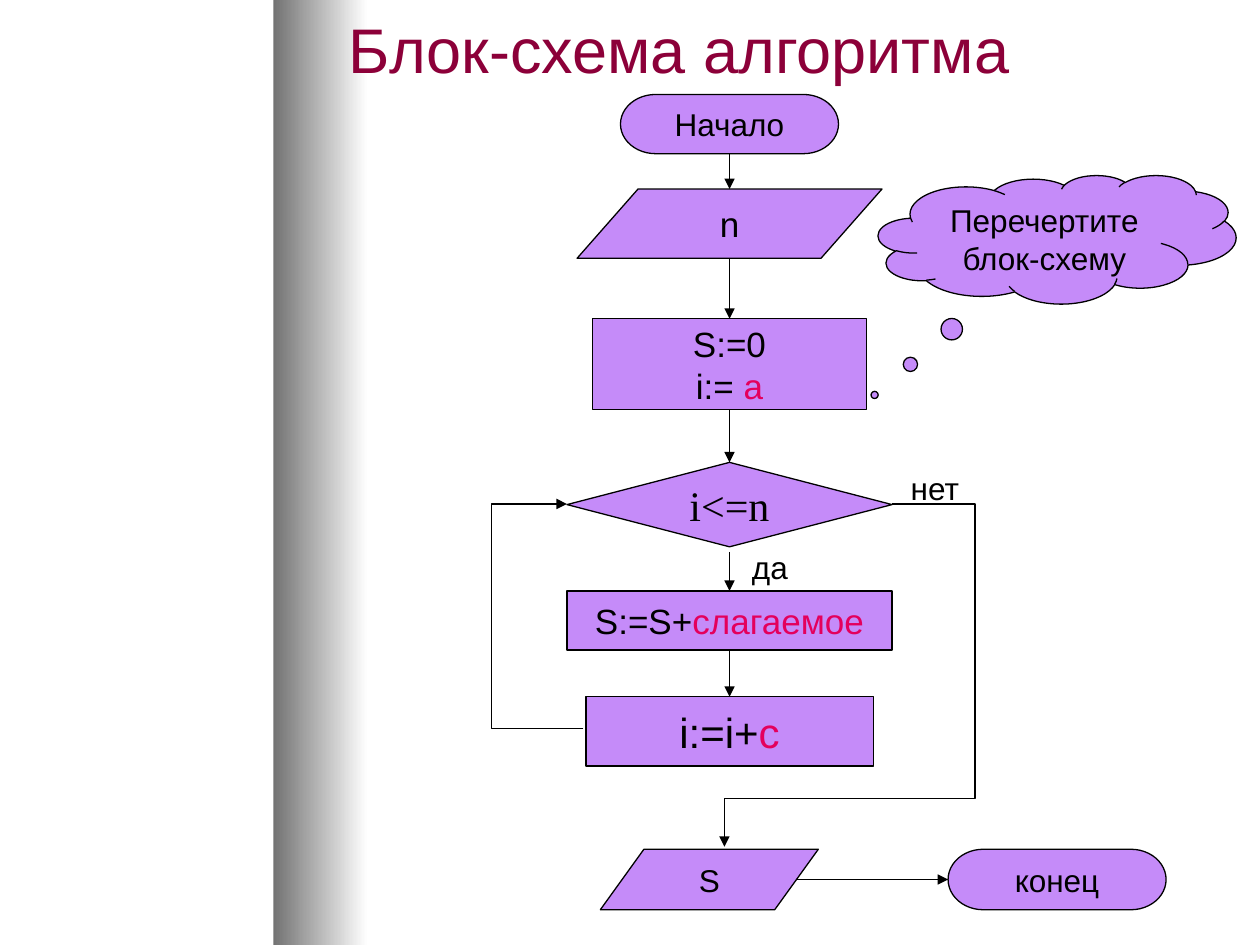
from dataclasses import dataclass

from lxml.etree import SubElement
from pptx import Presentation
from pptx.dml.color import RGBColor
from pptx.enum.shapes import MSO_CONNECTOR, MSO_SHAPE
from pptx.enum.text import MSO_ANCHOR, MSO_AUTO_SIZE, PP_ALIGN
from pptx.oxml.ns import qn
from pptx.util import Inches, Pt


@dataclass(frozen=True)
class Theme:
    font: str = "Arial"
    serif: str = "Times New Roman"
    ink: str = "000000"
    title: str = "8C0039"
    accent: str = "E4005C"
    fill: str = "C58BF9"
    band: tuple = ("737373", "FFFFFF")
    title_size: int = 36
    large: int = 24
    medium: int = 20
    small: int = 18
    line: float = 0.75


T = Theme()
AXIS = 5.79
TOP, LEFT, BOTTOM = 0, 1, 2

TITLE = ("Блок-схема алгоритма", 2.67, 0, 7, 0.76)
LABELS = [("нет", 7.13, 3.67, 0.6, 0.4), ("да", 5.87, 4.3, 0.5, 0.4)]
TERMINATOR = MSO_SHAPE.FLOWCHART_TERMINATOR
DATA = MSO_SHAPE.FLOWCHART_DATA
PROCESS = MSO_SHAPE.FLOWCHART_PROCESS
DECISION = MSO_SHAPE.FLOWCHART_DECISION

# name: kind, center x, top, width, height, paragraphs, size, font
NODES = {
    "start": (TERMINATOR, AXIS, 0.75, 1.73, 0.47, ["Начало"], T.small, T.font),
    "input": (DATA, AXIS, 1.5, 2.42, 0.55, ["n"], T.medium, T.font),
    "init": (PROCESS, AXIS, 2.53, 2.17, 0.72, ["S:=0", "i:= |а"], T.medium, T.font),
    "test": (DECISION, AXIS, 3.67, 2.58, 0.67, ["i<=n"], T.large, T.serif),
    "sum": (PROCESS, AXIS, 4.69, 2.58, 0.47, ["S:=S+|слагаемое"], T.medium, T.font),
    "step": (PROCESS, AXIS, 5.53, 2.28, 0.55, ["i:=i+|с"], T.large, T.font),
    "output": (DATA, 5.63, 6.74, 1.73, 0.48, ["S"], T.small, T.font),
    "end": (TERMINATOR, 8.39, 6.74, 1.73, 0.48, ["конец"], T.small, T.font),
}
ARROWS = [
    ((AXIS, 1.22), (AXIS, 1.5), ("start", BOTTOM), None),
    ((AXIS, 2.05), (AXIS, 2.53), None, ("init", TOP)),
    ((AXIS, 3.25), (AXIS, 3.67), ("init", BOTTOM), ("test", TOP)),
    ((AXIS, 4.38), (AXIS, 4.69), None, ("sum", TOP)),
    ((AXIS, 5.16), (AXIS, 5.53), ("sum", BOTTOM), ("step", TOP)),
    ((6.32, 6.98), (7.52, 6.98), None, ("end", LEFT)),
]
BENT_ARROWS = [
    ((4.63, 5.78), (4.5, 4), "bentConnector3", 3.9, None),
    ((7.08, 4), (5.75, 6.72), "bentConnector4", 7.74, 6.34),
]
CLOUD = ("Перечертите блок-схему", 6.97, 1.39, 2.84, 1.02)


def rgb(value):
    return RGBColor.from_string(value)


def style_run(r, size, color=T.ink, font=T.font):
    r.font.size, r.font.name = Pt(size), font
    r.font.color.rgb = rgb(color)


def add_label(s, text, *box):
    tb = s.shapes.add_textbox(*map(Inches, box))
    tf = tb.text_frame
    tf.text = text
    return tf


def add_flow_shape(s, kind, box, paragraphs, size, font=T.font):
    sp = s.shapes.add_shape(kind, *map(Inches, box))
    sp.shadow.inherit = False
    sp.fill.solid()
    sp.fill.fore_color.rgb = rgb(T.fill)
    sp.line.color.rgb = rgb(T.ink)
    sp.line.width = Pt(T.line)
    tf = sp.text_frame
    tf.word_wrap = False
    tf.vertical_anchor = MSO_ANCHOR.MIDDLE
    for i, text in enumerate(paragraphs):
        p = tf.add_paragraph() if i else tf.paragraphs[0]
        p.alignment = PP_ALIGN.CENTER
        for part, color in zip(text.split("|"), (T.ink, T.accent)):
            r = p.add_run()
            r.text = part
            style_run(r, size, color, font)
    return sp


def add_arrow(s, kind, start, end):
    c = s.shapes.add_connector(kind, *map(Inches, start + end))
    c.line.color.rgb = rgb(T.ink)
    c.line.width = Pt(T.line)
    spPr = c._element.spPr
    SubElement(spPr.find(qn("a:ln")), qn("a:tailEnd"), type="triangle")
    SubElement(spPr, qn("a:effectLst"))
    return c


def bend(c, preset, start, end, *turns):
    geom = c._element.spPr.find(qn("a:prstGeom"))
    geom.set("prst", preset)
    guides = geom.find(qn("a:avLst"))
    for i, (turn, a, b) in enumerate(zip(turns, start, end), 1):
        if turn is not None:
            ratio = round((turn - a) / (b - a) * 100000)
            SubElement(guides, qn("a:gd"), name=f"adj{i}", fmla=f"val {ratio}")


def main():
    prs = Presentation()
    prs.slide_width, prs.slide_height = Inches(10), Inches(7.5)
    s = prs.slides.add_slide(prs.slide_layouts[6])

    band = s.shapes.add_shape(MSO_SHAPE.RECTANGLE, *map(Inches, (2.17, 0, 0.75, 7.5)))
    band.shadow.inherit = False
    band.line.fill.background()
    band.fill.gradient()
    band.fill.gradient_angle = 0
    for stop, color in zip(band.fill.gradient_stops, T.band):
        stop.color.rgb = rgb(color)

    for label in LABELS:
        tf = add_label(s, *label)
        tf.word_wrap = False
        tf.auto_size = MSO_AUTO_SIZE.SHAPE_TO_FIT_TEXT
        style_run(tf.paragraphs[0].runs[0], T.small)

    tf = add_label(s, *TITLE)
    tf.word_wrap = True
    tf.vertical_anchor = MSO_ANCHOR.MIDDLE
    style_run(tf.paragraphs[0].runs[0], T.title_size, T.title)

    nodes = {}
    for name, (kind, cx, top, w, h, paragraphs, size, font) in NODES.items():
        box = (cx - w / 2, top, w, h)
        nodes[name] = add_flow_shape(s, kind, box, paragraphs, size, font)

    for start, end, source, target in ARROWS:
        c = add_arrow(s, MSO_CONNECTOR.STRAIGHT, start, end)
        if source:
            c.begin_connect(nodes[source[0]], source[1])
        if target:
            c.end_connect(nodes[target[0]], target[1])

    for start, end, preset, turn_x, turn_y in BENT_ARROWS:
        c = add_arrow(s, MSO_CONNECTOR.ELBOW, start, end)
        bend(c, preset, start, end, turn_x, turn_y)

    text, *box = CLOUD
    cloud = add_flow_shape(s, MSO_SHAPE.CLOUD_CALLOUT, box, [text], T.small)
    cloud.text_frame.word_wrap = True
    cloud.text_frame.vertical_anchor = MSO_ANCHOR.TOP
    cloud.adjustments[0], cloud.adjustments[1] = -0.51, 1.21

    prs.save("out.pptx")


if __name__ == "__main__":
    main()
